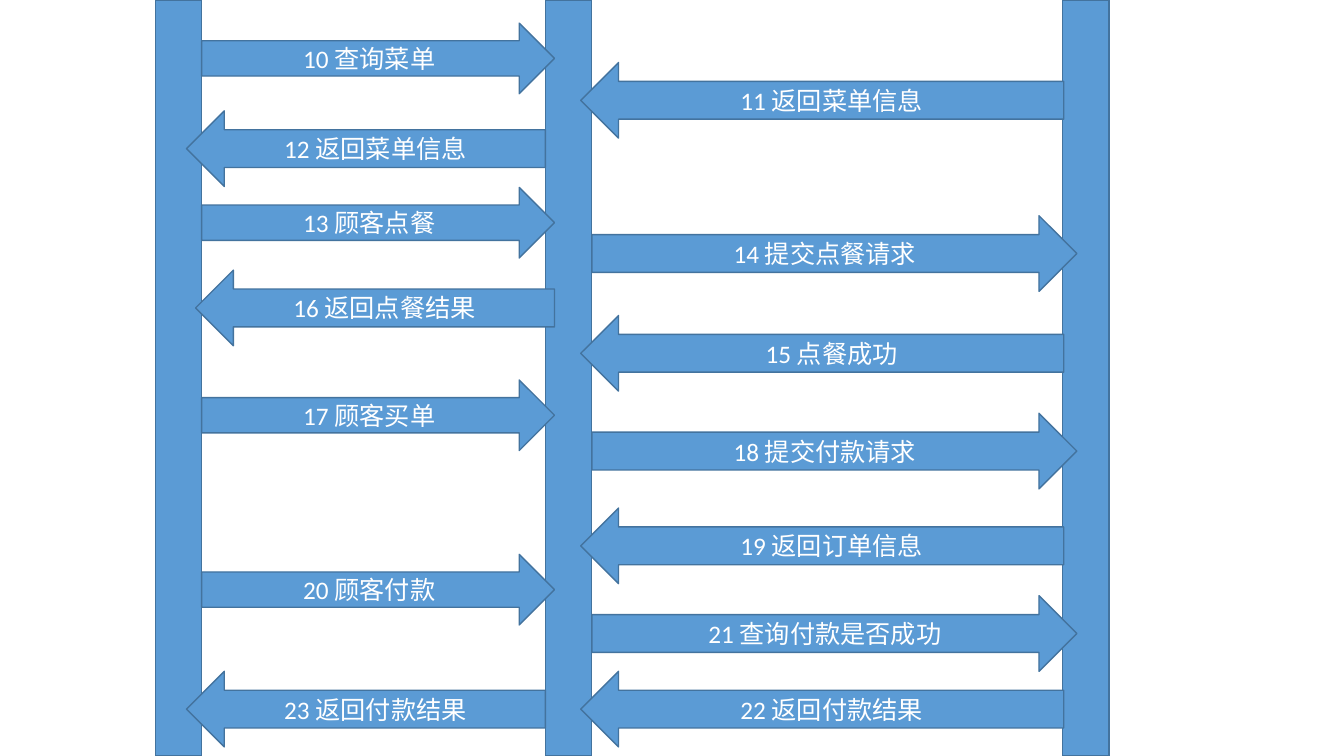
from dataclasses import dataclass

from pptx import Presentation
from pptx.dml.color import RGBColor
from pptx.enum.shapes import MSO_SHAPE as Shape
from pptx.enum.text import MSO_ANCHOR as Anchor, PP_ALIGN as Align
from pptx.util import Inches, Pt

# Content: lifelines as left edges, messages as (lane, top, label)
LIFELINES = [1.54, 5.41, 10.54]
MESSAGES = [
    ("left request", 0.23, "10 查询菜单"),
    ("right reply", 0.62, "11 返回菜单信息"),
    ("left reply", 1.1, "12 返回菜单信息"),
    ("left request", 1.86, "13 顾客点餐"),
    ("right request", 2.14, "14 提交点餐请求"),
    ("right reply", 3.13, "15 点餐成功"),
    ("shifted left reply", 2.68, "16 返回点餐结果"),
    ("left request", 3.77, "17 顾客买单"),
    ("right request", 4.1, "18 提交付款请求"),
    ("right reply", 5.04, "19 返回订单信息"),
    ("left request", 5.5, "20 顾客付款"),
    ("right request", 5.91, "21 查询付款是否成功"),
    ("right reply", 6.66, "22 返回付款结果"),
    ("left reply", 6.66, "23 返回付款结果"),
]

# Lanes: arrow shape, left, width, height
LANES = {
    "left request": (Shape.RIGHT_ARROW, 2, 3.5, 0.7),
    "left reply": (Shape.LEFT_ARROW, 1.85, 3.56, 0.75),
    "shifted left reply": (Shape.LEFT_ARROW, 1.94, 3.56, 0.75),
    "right request": (Shape.RIGHT_ARROW, 5.87, 4.81, 0.75),
    "right reply": (Shape.LEFT_ARROW, 5.76, 4.79, 0.75),
}
SLIDE_WIDTH, SLIDE_HEIGHT = 13.33, 7.5
LIFELINE_WIDTH = 0.46


@dataclass(frozen=True)
class Theme:
    fill: RGBColor = RGBColor(0x5B, 0x9B, 0xD5)
    line: RGBColor = RGBColor(0x43, 0x73, 0x9E)
    text: RGBColor = RGBColor(0xFF, 0xFF, 0xFF)
    font: str = "Calibri"
    text_size: int = 18
    line_width: int = 1


THEME = Theme()


def add_block(slide, kind, left, top, width, height):
    """Add a filled and outlined shape; lengths are in inches."""
    shape = slide.shapes.add_shape(
        kind, Inches(left), Inches(top), Inches(width), Inches(height))
    shape.shadow.inherit = False
    shape.fill.solid()
    shape.fill.fore_color.rgb = THEME.fill
    shape.line.color.rgb = THEME.line
    shape.line.width = Pt(THEME.line_width)
    return shape


def add_label(shape, label):
    """Write a centred label inside an arrow."""
    text_frame = shape.text_frame
    text_frame.text = label
    text_frame.vertical_anchor = Anchor.MIDDLE
    paragraph = text_frame.paragraphs[0]
    paragraph.alignment = Align.CENTER
    font = paragraph.runs[0].font
    font.name = THEME.font
    font.size = Pt(THEME.text_size)
    font.color.rgb = THEME.text


def main():
    presentation = Presentation()
    presentation.slide_width = Inches(SLIDE_WIDTH)
    presentation.slide_height = Inches(SLIDE_HEIGHT)
    slide = presentation.slides.add_slide(presentation.slide_layouts[6])

    # Lifelines
    for left in LIFELINES:
        add_block(slide, Shape.RECTANGLE, left, 0, LIFELINE_WIDTH, SLIDE_HEIGHT)

    # Message arrows
    for lane, top, label in MESSAGES:
        kind, left, width, height = LANES[lane]
        add_label(add_block(slide, kind, left, top, width, height), label)

    presentation.save("out.pptx")


if __name__ == "__main__":
    main()
